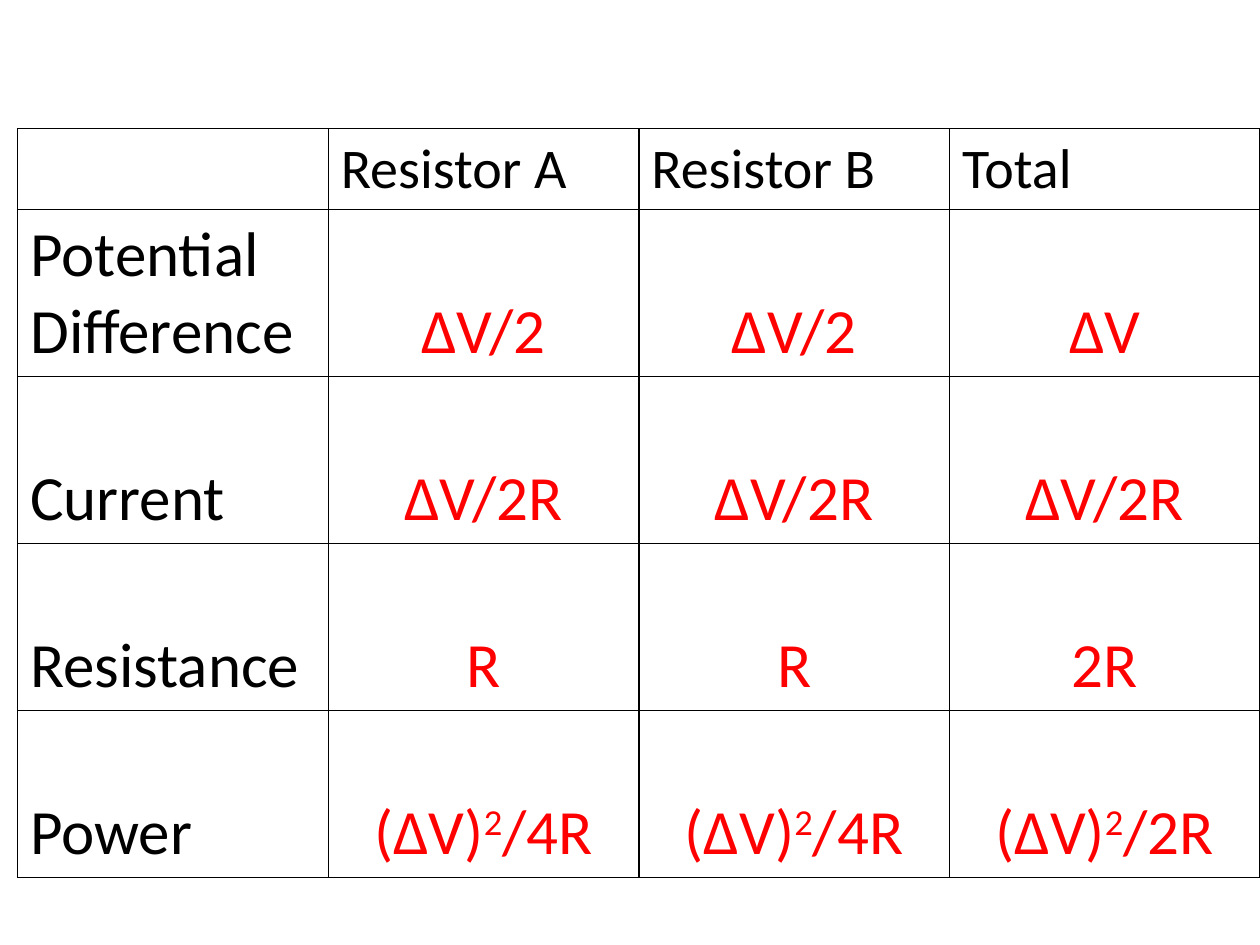
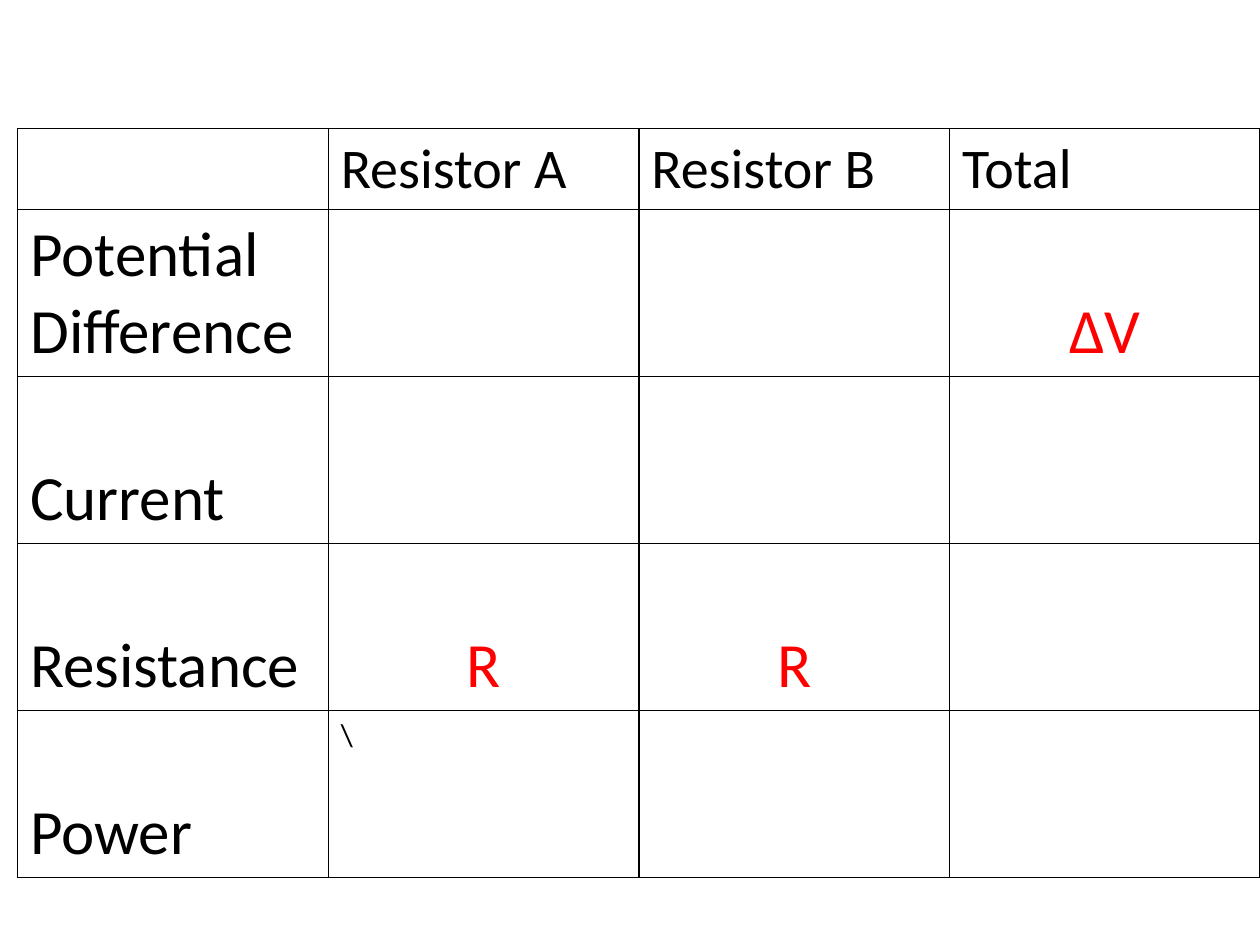
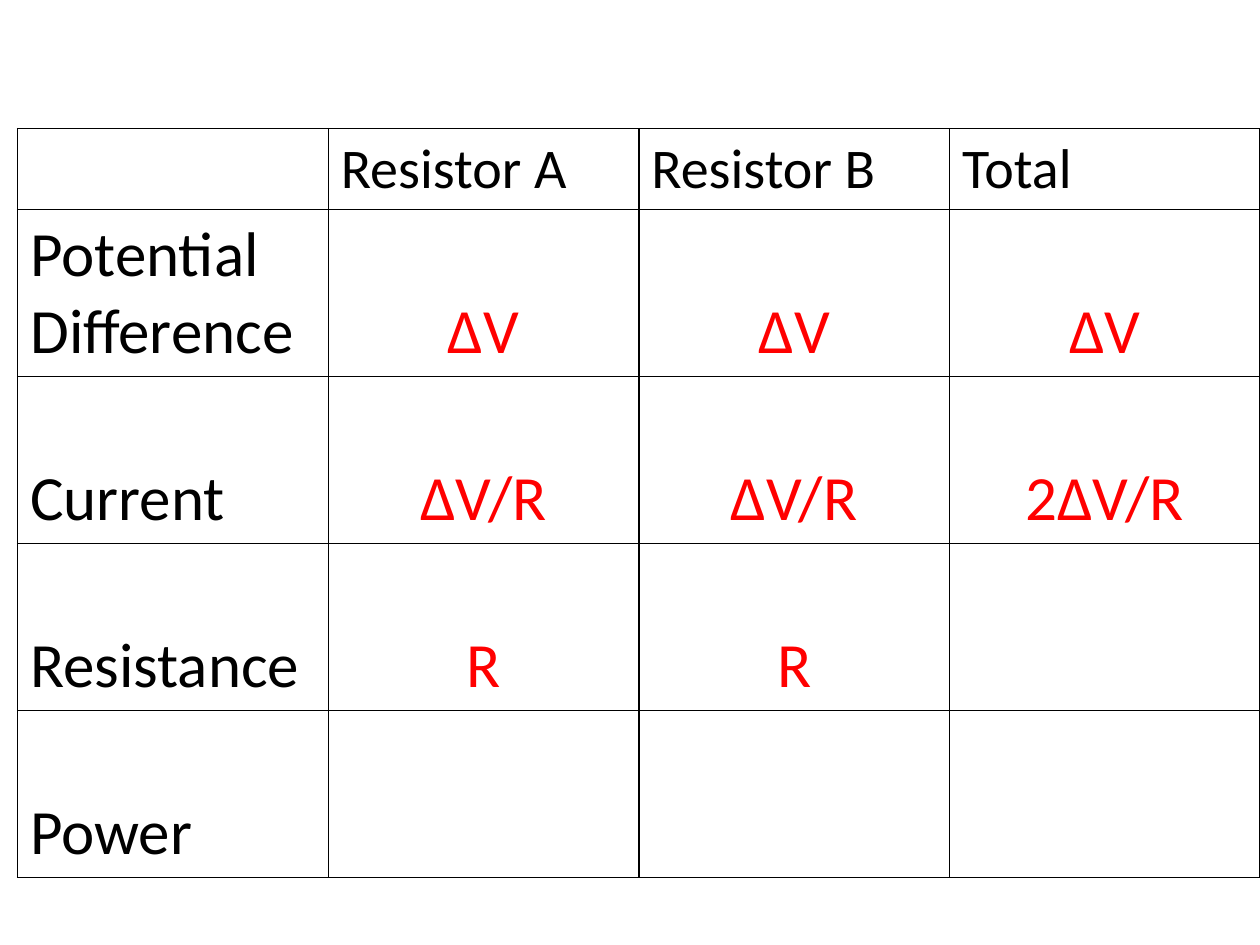
import pptx
import pptx.util
import pptx.dml.color
import pptx.enum.text
from lxml import etree

Inches, Pt = pptx.util.Inches, pptx.util.Pt
ALIGN, ANCHOR = pptx.enum.text.PP_ALIGN, pptx.enum.text.MSO_ANCHOR
COLORS = {"ink": "000000", "answer": "FF0000"}
STYLES = {
    "head": {"size": 32, "color": "ink", "align": ALIGN.LEFT, "anchor": ANCHOR.TOP},
    "label": {"size": 36, "color": "ink", "align": ALIGN.LEFT, "anchor": ANCHOR.BOTTOM},
    "answer": {"size": 36, "color": "answer", "align": ALIGN.CENTER, "anchor": ANCHOR.BOTTOM},
    "note": {"size": 18, "color": "ink", "align": ALIGN.LEFT, "anchor": ANCHOR.TOP},
}
HEADS = ["", "Resistor A", "Resistor B", "Total"]
LABELS = ["Potential Difference", "Current", "Resistance", "Power"]
BOX = (Inches(0.14), Inches(1.02), Inches(9.86), Inches(5.94))
HEAD_H = Inches(0.64)
NONE = ["", "", ""]
SERIES = [
    ["ΔV/2", "ΔV/2", "ΔV"],
    ["ΔV/2R", "ΔV/2R", "ΔV/2R"],
    ["R", "R", "2R"],
    ["(ΔV)²/4R", "(ΔV)²/4R", "(ΔV)²/2R"],
]
BLANK = [["", "", "ΔV"], NONE, ["R", "R", ""], ["\\", "", ""]]
SPLIT = [["ΔV", "ΔV", "ΔV"], ["ΔV/R", "ΔV/R", "2ΔV/R"], ["R", "R", ""], NONE]


def add_lines(cell):
    """Draw a thin line on each side of a cell."""
    props = cell._tc.get_or_add_tcPr()
    space = pptx.oxml.ns.nsdecls("a")
    for side in ("lnL", "lnR", "lnT", "lnB"):
        props.append(etree.fromstring(
            f'<a:{side} {space} w="{Pt(1)}"><a:solidFill>'
            f'<a:srgbClr val="{COLORS["ink"]}"/></a:solidFill></a:{side}>'))


def fill_cell(cell, text, style):
    """Write text in a cell, raising a squared mark."""
    add_lines(cell)
    cell.fill.background()
    cell.vertical_anchor = style["anchor"]
    para = cell.text_frame.paragraphs[0]
    para.alignment = style["align"]
    base, square, rest = text.partition("²")
    for part, raised in ((base, False), (square and "2", True), (rest, False)):
        if part:
            run = para.add_run()
            run.text = part
            looks = {"size": Pt(style["size"]), "name": "Calibri", "bold": False}
            for key, value in looks.items():
                setattr(run.font, key, value)
            run.font.color.rgb = pptx.dml.color.RGBColor.from_string(COLORS[style["color"]])
            if raised:
                run._r.get_or_add_rPr().set("baseline", "30000")


def pick_style(row, col, text):
    """Return the style for a place in the grid."""
    if row == 0:
        return STYLES["head"]
    if col == 0:
        return STYLES["label"]
    return STYLES["note" if text == "\\" else "answer"]


def add_grid(slide, box, answers):
    """Place the resistor table in a box."""
    rows = [HEADS] + [[label] + line for label, line in zip(LABELS, answers)]
    table = slide.shapes.add_table(len(rows), len(HEADS), *box).table
    for flag in ("first_row", "horz_banding"):
        setattr(table, flag, False)
    for col in table.columns:
        col.width = box[2] // len(HEADS)
    for r, line in enumerate(rows):
        table.rows[r].height = (box[3] - HEAD_H) // len(LABELS) if r else HEAD_H
        for c, text in enumerate(line):
            fill_cell(table.cell(r, c), text, pick_style(r, c, text))


def main():
    """Build and save the deck."""
    deck = pptx.Presentation()
    deck.slide_width, deck.slide_height = Inches(10), Inches(7.5)
    for answers in (SERIES, BLANK, SPLIT):
        add_grid(deck.slides.add_slide(deck.slide_layouts[6]), BOX, answers)
    deck.save("out.pptx")


main()
